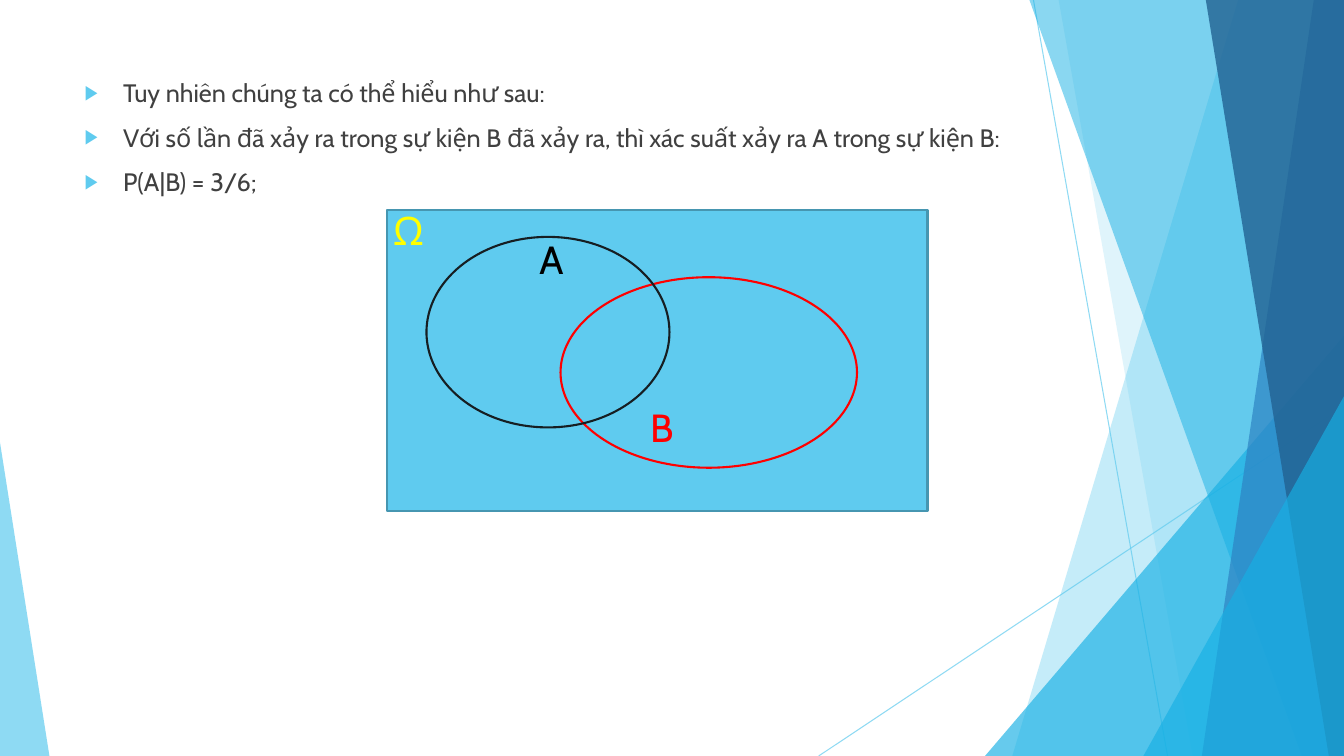
from lxml import etree
from pptx import Presentation
from pptx.dml.color import RGBColor
from pptx.enum.shapes import MSO_CONNECTOR, MSO_SHAPE
from pptx.enum.text import MSO_ANCHOR, MSO_AUTO_SIZE, PP_ALIGN
from pptx.oxml.ns import qn
from pptx.util import Inches, Pt

LINE = MSO_CONNECTOR.STRAIGHT
RECT, OVAL = MSO_SHAPE.RECTANGLE, MSO_SHAPE.OVAL
PEAK = MSO_SHAPE.ISOSCELES_TRIANGLE
WIDE, HIGH = 13.33, 7.5

BULLETS = [
    "Tuy nhiên chúng ta có thể hiểu như sau:",
    "Với số lần đã xảy ra trong sự kiện B đã xảy ra, "
    "thì xác suất xảy ra A trong sự kiện B:",
    "P(A|B) = 3/6;",
]
BODY = (0.74, 0.72, 9.4, 5.88)

# Thin rays: start x, start y, end x, end y
RAYS = [(10.25, 0, 11.58, HIGH), (WIDE, 4.03, 8.12, HIGH)]
# Backdrop, back to front. Bands: top x, bottom x, colour, opacity.
# Peaks: left, top, width, apex (0 left, 1 right), colour, opacity.
BACKDROP = [
    ("band", 12.28, 10.04, "sky", 36),
    ("band", 10.5, 11.83, "sky", 20),
    ("peak", 9.77, 3.33, 3.56, 1, "cyan", 66),
    ("band", 10.21, 12.91, "cyan", 50),
    ("band", 13.03, 11.92, "blue", 70),
    ("band", 11.96, 13.18, "navy", 80),
    ("peak", 11.34, 3.93, 1.99, 1, "cyan", 66),
    ("peak", 0, 4.39, 0.49, 0, "sky", 70),
]
# Venn diagram: kind, box, fill, line
SETS = [
    (RECT, (3.84, 2.08, 5.36, 2.99), "sky", "edge"),
    (OVAL, (5.56, 2.75, 2.94, 1.89), None, "red"),
    (OVAL, (4.23, 2.35, 2.41, 1.89), None, "ink"),
]
LABELS = [
    ("A", 5.25, 2.29, "black"),
    ("B", 6.35, 3.95, "red"),
    ("Ω", 3.8, 2, "yellow"),
]
THEME = {
    "font": "Cabin", "body": 18, "label": 28, "ray": 0.75, "rim": 1.5,
    "sky": "5FCBEF", "cyan": "17B0E4", "blue": "2E83C3", "navy": "226292",
    "edge": "4696B1", "red": "FF0000", "ink": "161E22", "black": "000000",
    "yellow": "FFFF00", "text": "404040",
}


def shade(name):
    return RGBColor.from_string(THEME[name])


def box(sizes):
    return [Inches(v) for v in sizes]


def fade(shape, level):
    """Set the opacity, in percent, of the colours in a shape."""
    for tint in shape._element.spPr.iter(qn("a:srgbClr")):
        etree.SubElement(tint, qn("a:alpha"), val=str(level * 1000))


def paint(shape, fill, line=None):
    shape.shadow.inherit = False
    if fill:
        shape.fill.solid()
        shape.fill.fore_color.rgb = shade(fill)
    else:
        shape.fill.background()
    if line:
        shape.line.color.rgb = shade(line)
        shape.line.width = Pt(THEME["rim"])
    else:
        shape.line.fill.background()


def style(font, size, color):
    look = {"name": THEME["font"], "size": Pt(THEME[size])}
    for key, value in look.items():
        setattr(font, key, value)
    font.color.rgb = shade(color)


def add_ray(shapes, ends):
    ray = shapes.add_connector(LINE, *box(ends))
    ray.line.color.rgb = shade("sky")
    ray.line.width = Pt(THEME["ray"])
    etree.SubElement(ray._element.spPr, qn("a:effectLst"))
    fade(ray, 70)


def add_band(shapes, top, foot):
    """Draw a full-height band from a slanted left side to the slide edge."""
    pen = shapes.build_freeform(Inches(top), 0)
    corners = [(WIDE, 0), (WIDE, HIGH), (foot, HIGH)]
    pen.add_line_segments([box(c) for c in corners], close=True)
    return pen.convert_to_shape()


def add_peak(shapes, left, top, width, apex):
    peak = shapes.add_shape(PEAK, *box((left, top, width, HIGH - top)))
    peak.adjustments[0] = apex
    return peak


def add_bullet(para):
    props = para._p.get_or_add_pPr()
    props.set("marL", str(Inches(0.38)))
    props.set("indent", str(-Inches(0.38)))
    tint = etree.SubElement(props, qn("a:buClr"))
    etree.SubElement(tint, qn("a:srgbClr"), val=THEME["sky"])
    etree.SubElement(props, qn("a:buSzPct"), val="80000")
    etree.SubElement(props, qn("a:buFont"), typeface="Arial")
    etree.SubElement(props, qn("a:buChar"), char="▶")


def fill_body(body):
    for key, value in zip(("left", "top", "width", "height"), box(BODY)):
        setattr(body, key, value)
    frame = body.text_frame
    frame.text = "\n".join(BULLETS)
    frame.auto_size = MSO_AUTO_SIZE.NONE
    frame.vertical_anchor = MSO_ANCHOR.TOP
    for i, para in enumerate(frame.paragraphs):
        para.alignment = PP_ALIGN.LEFT
        para.space_before = Pt(10 if i else 0)
        add_bullet(para)
        style(para.runs[0].font, "body", "text")


def add_label(shapes, text, left, top, color):
    frame = shapes.add_textbox(*box((left, top, 0.39, 0.57))).text_frame
    frame.word_wrap = True
    frame.text = text
    style(frame.paragraphs[0].runs[0].font, "label", color)


def main():
    deck = Presentation()
    deck.slide_width, deck.slide_height = box((WIDE, HIGH))
    slide = deck.slides.add_slide(deck.slide_layouts[1])
    shapes = slide.shapes
    title, body = slide.placeholders
    title._element.getparent().remove(title._element)

    for ends in RAYS:
        add_ray(shapes, ends)
    makers = {"band": add_band, "peak": add_peak}
    for kind, *place, color, level in BACKDROP:
        part = makers[kind](shapes, *place)
        paint(part, color)
        fade(part, level)

    fill_body(body)
    body._element.getparent().append(body._element)
    for kind, place, fill, line in SETS:
        paint(shapes.add_shape(kind, *box(place)), fill, line)
    for label in LABELS:
        add_label(shapes, *label)
    deck.save("out.pptx")


if __name__ == "__main__":
    main()
